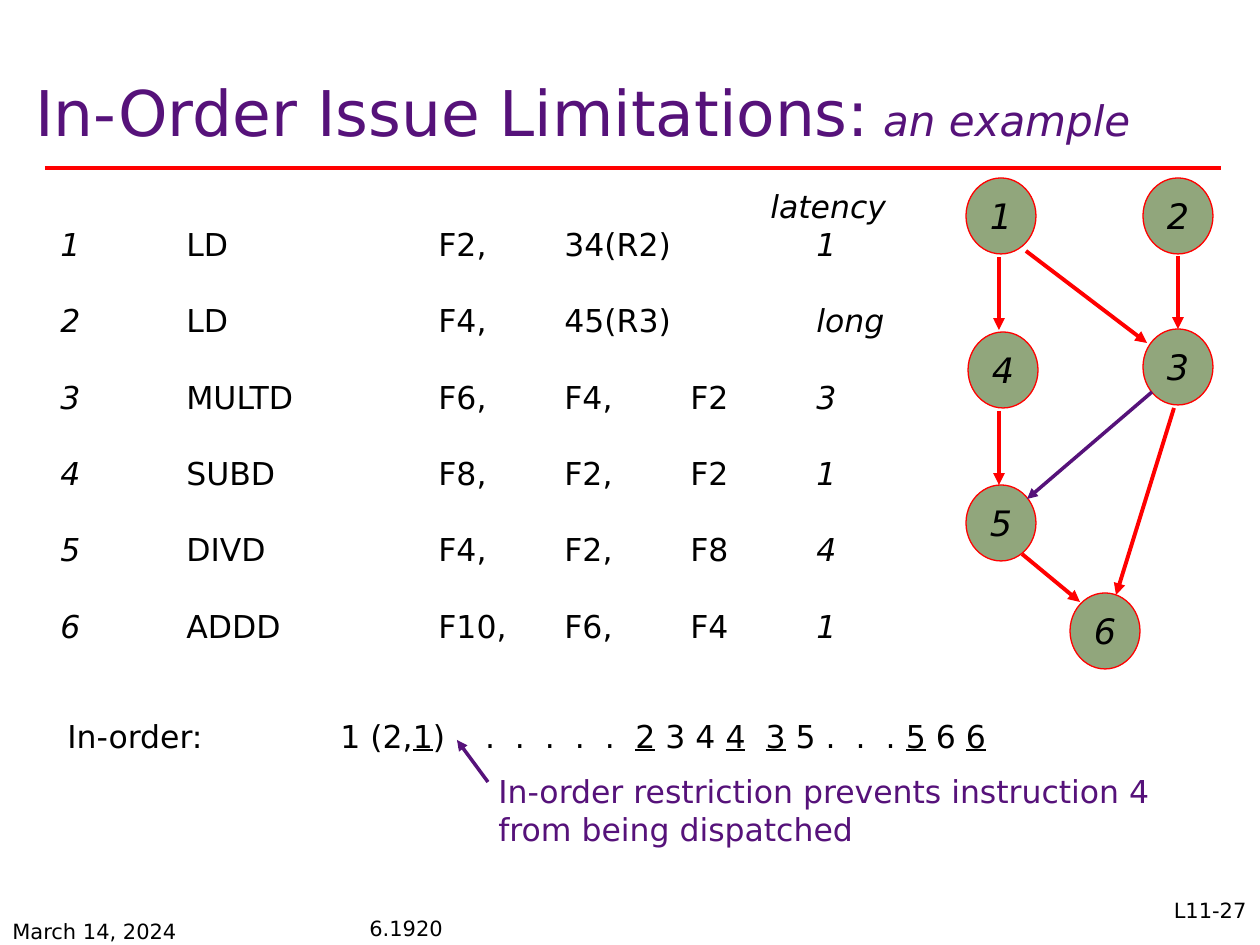
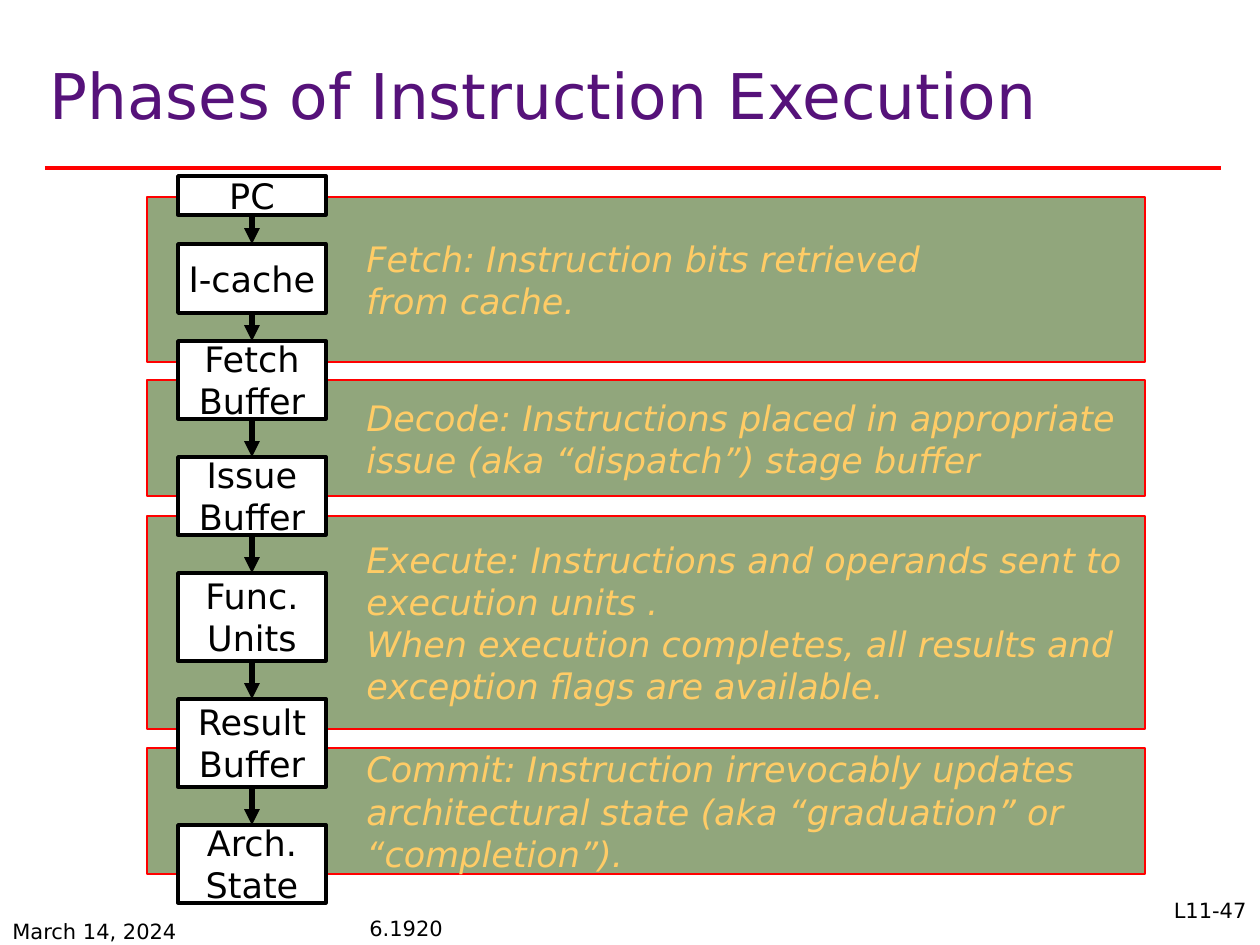
from dataclasses import dataclass
from itertools import pairwise
from lxml.etree import SubElement
from pptx import Presentation
from pptx.dml.color import RGBColor as Rgb
from pptx.enum.shapes import MSO_CONNECTOR as Conn, MSO_SHAPE as Kind
from pptx.enum.text import MSO_ANCHOR as Anchor, PP_ALIGN as Align
from pptx.oxml.ns import qn
from pptx.util import Pt


@dataclass(frozen=True)
class Theme:
    font: str = "DejaVu Sans"
    ink: str = "000000"
    paper: str = "FFFFFF"
    plum: str = "56127A"
    red: str = "FF0000"
    sage: str = "91A67C"
    gold: str = "FFCC66"
    title: int = 36
    sub: int = 24
    label: int = 20
    body: int = 18
    foot: int = 12


T = Theme()
SCALE = 914400 / 126


def px(*vals):
    return [round(v * SCALE) for v in vals]


def write(shape, lines, size, color=T.ink, odd=None, anchor=Anchor.TOP,
          pad=None, tabs=(), run=None, **para):
    """Fill a shape with paragraphs; parts between underscores take the odd format."""
    frame = shape.text_frame
    frame.word_wrap = True
    frame.vertical_anchor = anchor
    if pad is not None:
        for side in ("left", "top", "right", "bottom"):
            setattr(frame, f"margin_{side}", pad)
    for i, line in enumerate(lines):
        par = frame.paragraphs[0] if i == 0 else frame.add_paragraph()
        for key, val in para.items():
            setattr(par, key, val)
        if tabs:
            stops = SubElement(par._p.get_or_add_pPr(), qn("a:tabLst"))
            for pos in px(*tabs):
                SubElement(stops, qn("a:tab"), pos=str(pos), algn="l")
        for n, part in enumerate(line.split("_")):
            if not part:
                continue
            piece = par.add_run()
            piece.text = part
            look = {"name": T.font, "size": Pt(size), **(run or {})}
            if n % 2:
                look |= odd or {}
            for key, val in look.items():
                setattr(piece.font, key, val)
            piece.font.color.rgb = Rgb.from_string(color)


def text(slide, box, lines, size, **fmt):
    area = slide.shapes.add_textbox(*px(*box))
    write(area, lines, size, **fmt)
    return area


def block(slide, box, fill, edge=None, width=0.75, kind=Kind.RECTANGLE):
    shape = slide.shapes.add_shape(kind, *px(*box))
    shape.shadow.inherit = False
    shape.fill.solid()
    shape.fill.fore_color.rgb = Rgb.from_string(fill)
    if edge:
        shape.line.color.rgb = Rgb.from_string(edge)
        shape.line.width = Pt(width)
    else:
        shape.line.fill.background()
    return shape


def link(slide, ends, color, width, head=True):
    line = slide.shapes.add_connector(Conn.STRAIGHT, *px(*ends))
    line.line.color.rgb = Rgb.from_string(color)
    line.line.width = Pt(width)
    if head:
        SubElement(line.line._get_or_add_ln(), qn("a:tailEnd"), type="triangle")
    SubElement(line._element.spPr, qn("a:effectLst"))
    return line


def start(deck, title, box, page):
    """Add a slide with its title, rule and footers."""
    slide = deck.slides.add_slide(deck.slide_layouts[6])
    link(slide, (45, 168, 1221, 168), T.red, 2.25, head=False)
    text(slide, box, [title], T.title, color=T.plum, anchor=Anchor.MIDDLE,
         odd={"italic": True, "size": Pt(T.sub)}, line_spacing=0.8)
    text(slide, (0, 912, 252, 42), ["March 14, 2024"], T.foot)
    text(slide, (357, 912, 504, 42), ["6.1920"], T.foot, line_spacing=0.93)
    tag = block(slide, (1070, 891, 189, 63), T.paper)
    write(tag, [page], T.foot, alignment=Align.RIGHT)
    return slide


CODE = [
    "_1_\tLD\tF2,\t34(R2)\t\t_1_",
    "_2_\tLD\tF4,\t45(R3)\t\t_long_",
    "_3_\tMULTD\tF6,\tF4,\tF2\t_3_",
    "_4_\tSUBD\tF8,\tF2,\tF2\t_1_",
    "_5_\tDIVD\tF4,\tF2,\tF8\t_4_",
    "_6_\tADDD\tF10,\tF6,\tF4\t_1_",
]


def listing(slide, box):
    left, top, wide, high = box
    slant = {"italic": True}
    text(slide, (left + 710, top, 148, 50), ["latency"], T.body, run=slant)
    area = text(slide, (left, top + 38, wide, high - 38), CODE, T.body, odd=slant,
                tabs=[126 * n for n in (1, 3, 4, 5, 6)], space_before=Pt(22))
    area.text_frame.paragraphs[0].space_before = Pt(0)


NODES = [(0, 0), (177, 0), (177, 151), (2, 154), (0, 307), (104, 415)]
NEEDS = [
    (33, 79, 33, 152), (33, 233, 33, 307), (212, 78, 212, 151),
    (60, 73, 181, 165), (56, 376, 114, 424), (208, 230, 150, 417),
]
STALL = (186, 214, 61, 321)


def graph(slide, left, top):
    """Draw the dependences between the numbered instructions."""
    for num, (x, y) in enumerate(NODES, 1):
        node = block(slide, (left + x, top + y, 70, 76), T.sage, T.red, kind=Kind.OVAL)
        write(node, [str(num)], T.label, run={"italic": True}, pad=0,
              anchor=Anchor.MIDDLE, alignment=Align.CENTER)
    looks = [(ends, T.red, 2.25) for ends in NEEDS] + [(STALL, T.plum, 2)]
    for (x1, y1, x2, y2), color, width in looks:
        link(slide, (left + x1, top + y1, left + x2, top + y2), color, width)


def order(slide, left, top):
    """Show the issue order and the note on its restriction."""
    text(slide, (left, top, 1000, 50),
         ["In-order:\t1 (2,_1_) .  .  .  .  .  .  _2_ 3 4 _4_  _3_ 5 .  .  . _5_ 6 _6_"],
         T.body, odd={"underline": True}, tabs=[273])
    text(slide, (left + 431, top + 55, 756, 88),
         ["In-order restriction prevents instruction 4 from being dispatched"],
         T.body, color=T.plum)
    link(slide, (left + 433, top + 71, left + 402, top + 29), T.plum, 2)


def limits(deck):
    slide = start(deck, "In-Order Issue Limitations:_ an example_",
                  (23, 67, 1158, 102), "L11-27")
    listing(slide, (48, 181, 858, 466))
    graph(slide, 966, 178)
    order(slide, 55, 711)


# top, height, text width, text rows, paragraphs
BANDS = [
    (0, 165, 649, 2, ["Fetch: Instruction bits retrieved from cache."]),
    (183, 116, 792, 2, ["Decode: Instructions placed in appropriate issue "
                        "(aka “dispatch”) stage buffer"]),
    (319, 213, 788, 4, ["Execute: Instructions and operands sent to execution units .",
                        "When execution completes, all results and exception "
                        "flags are available."]),
    (551, 126, 776, 3, ["Commit: Instruction irrevocably updates architectural state "
                        "(aka “graduation” or “completion”)."]),
]
STAGES = [
    (0, 39, ["PC"]),
    (68, 69, ["I-cache"]),
    (165, 78, ["Fetch Buffer"]),
    (281, 78, ["Issue", "Buffer"]),
    (397, 88, ["Func.", "Units"]),
    (523, 88, ["Result", "Buffer"]),
    (649, 78, ["Arch.", "State"]),
]


def bands(slide, left, top, wide):
    for y, high, span, rows, lines in BANDS:
        block(slide, (left, top + y, wide, high), T.sage, T.red)
        tall = 42 * rows + 12
        mid = top + y + high / 2
        text(slide, (left + 207, mid - tall / 2, span, tall), lines, T.label,
             color=T.gold, run={"italic": True}, anchor=Anchor.MIDDLE)


def stages(slide, left, top, wide):
    boxes = []
    for y, high, lines in STAGES:
        box = block(slide, (left, top + y, wide, high), T.paper, T.ink, 2)
        write(box, lines, T.label, pad=0, anchor=Anchor.MIDDLE, alignment=Align.CENTER)
        boxes.append(box)
    for upper, lower in pairwise(boxes):
        arrow = link(slide, (0, 0, 0, 0), T.ink, 3)
        arrow.begin_connect(upper, 2)
        arrow.end_connect(lower, 0)


def phases(deck):
    slide = start(deck, "Phases of Instruction Execution", (37, 40, 1070, 122), "L11-47")
    bands(slide, 147, 197, 998)
    stages(slide, 178, 176, 148)


def main():
    deck = Presentation()
    deck.slide_width, deck.slide_height = px(1260, 945)
    limits(deck)
    phases(deck)
    deck.save("out.pptx")


if __name__ == "__main__":
    main()
